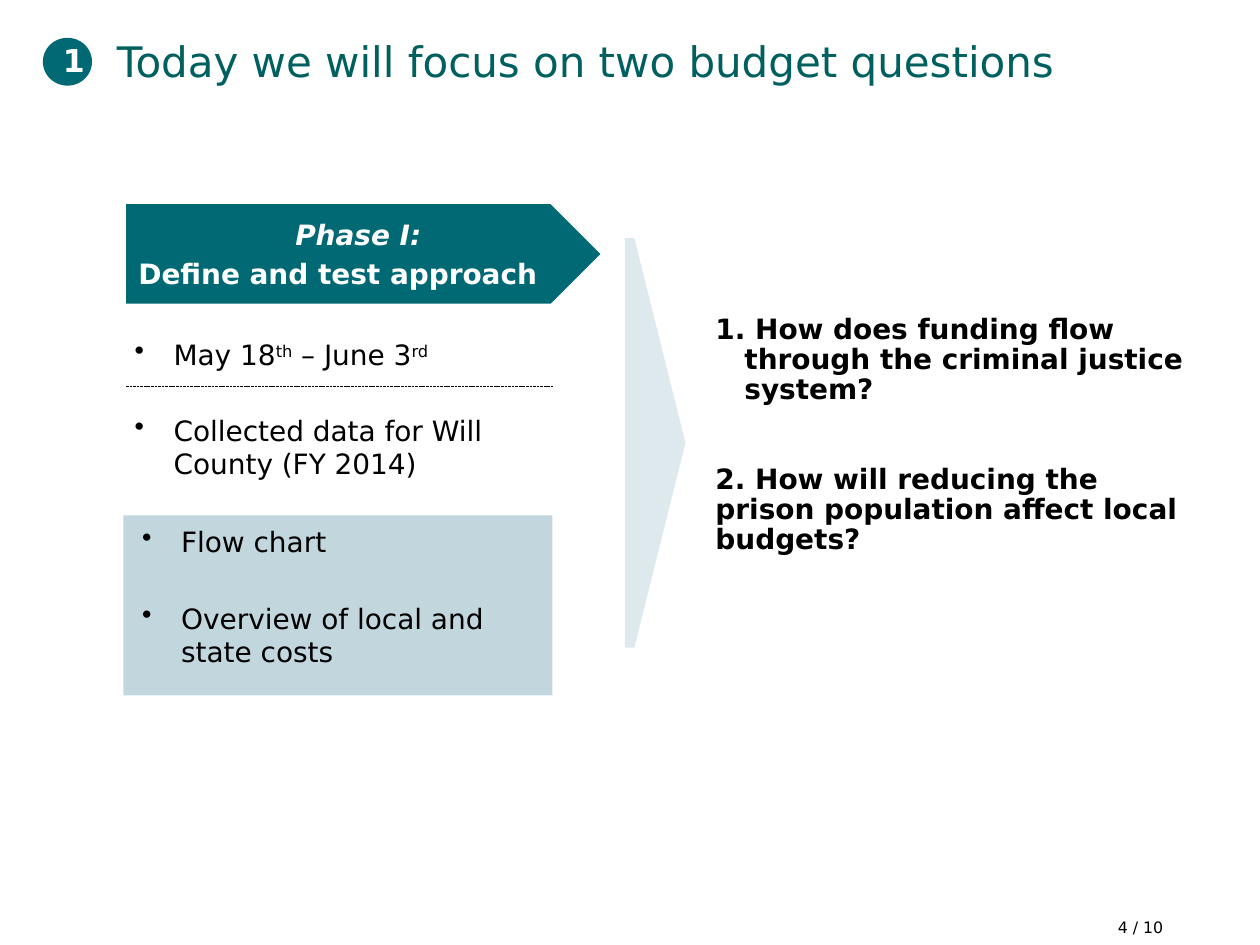
from lxml import etree
from pptx import Presentation
from pptx.dml.color import RGBColor
from pptx.enum.dml import MSO_LINE
from pptx.enum.shapes import MSO_CONNECTOR, MSO_SHAPE
from pptx.enum.text import MSO_ANCHOR, PP_ALIGN
from pptx.oxml.ns import qn
from pptx.util import Inches, Pt

TEAL = RGBColor(0x00, 0x69, 0x73)
PINE = RGBColor(0x00, 0x60, 0x5F)
MIST = RGBColor(0xC1, 0xD6, 0xDD)
BLACK = RGBColor(0, 0, 0)
WHITE = RGBColor(0xFF, 0xFF, 0xFF)

LEFT, CENTER, RIGHT = PP_ALIGN.LEFT, PP_ALIGN.CENTER, PP_ALIGN.RIGHT
TOP, MIDDLE, BOTTOM = MSO_ANCHOR.TOP, MSO_ANCHOR.MIDDLE, MSO_ANCHOR.BOTTOM
RECT, OVAL = MSO_SHAPE.RECTANGLE, MSO_SHAPE.OVAL
STRAIGHT, DASH = MSO_CONNECTOR.STRAIGHT, MSO_LINE.SQUARE_DOT

COLS, ROWS = 100, 75
HANG = 0.31


class Deck:
    """Holds the style and the slide; lengths are grid columns and rows."""

    def __init__(self, font="DejaVu Sans", size=16):
        self.font, self.size = font, size
        self.prs = Presentation()
        self.prs.slide_width, self.prs.slide_height = Inches(10), Inches(7.5)
        self.cell = self.prs.slide_width / COLS, self.prs.slide_height / ROWS
        self.slide = self.prs.slides.add_slide(self.prs.slide_layouts[6])
        self.shapes = self.slide.shapes

    def grid(self, *vals):
        """Turn alternating columns and rows into lengths."""
        return [round(v * self.cell[i % 2]) for i, v in enumerate(vals)]

    def paint(self, shape, color, alpha=None):
        shape.shadow.inherit = False
        shape.fill.solid()
        shape.fill.fore_color.rgb = color
        shape.line.fill.background()
        if alpha:
            tint = shape.fill._xPr.find(".//" + qn("a:srgbClr"))
            etree.SubElement(tint, qn("a:alpha")).set("val", str(alpha * 1000))
        return shape

    def block(self, kind, box, color):
        return self.paint(self.shapes.add_shape(kind, *self.grid(*box)), color)

    def outline(self, points, color, alpha=None):
        first, *rest = [self.grid(*pt) for pt in points]
        build = self.shapes.build_freeform(*first, scale=1.0)
        build.add_line_segments(rest, close=True)
        return self.paint(build.convert_to_shape(), color, alpha)

    def rule(self, start, end):
        line = self.shapes.add_connector(STRAIGHT, *self.grid(*start, *end))
        line.line.color.rgb, line.line.width = BLACK, Pt(0.5)
        line.line.dash_style = DASH
        etree.SubElement(line._element.spPr, qn("a:effectLst"))

    def text(self, box, anchor=TOP):
        frame = self.shapes.add_textbox(*self.grid(*box)).text_frame
        frame.word_wrap, frame.vertical_anchor = True, anchor
        return frame

    def para(self, frame, words, size=None, color=BLACK, bold=False,
             italic=False, align=LEFT, before=0, after=0, lead=1.0,
             mark=None, hang=0):
        """Add a paragraph; words is a string or (run, raised) pairs."""
        para = frame.paragraphs[0]
        if para.runs:
            para = frame.add_paragraph()
        runs = [(words, False)] if isinstance(words, str) else words
        for part, raised in runs:
            run = para.add_run()
            run.text = part
            if raised:
                run._r.get_or_add_rPr().set("baseline", "30000")
        para.alignment, para.line_spacing = align, lead
        para.space_before, para.space_after = Pt(before), Pt(after)
        if mark:
            props = para._p.get_or_add_pPr()
            props.set("marL", str(Inches(hang)))
            props.set("indent", str(-Inches(hang)))
            tag, key = (("a:buAutoNum", "type") if mark == "arabicPeriod"
                        else ("a:buChar", "char"))
            etree.SubElement(props, qn(tag)).set(key, mark)
        font = para.font
        font.name, font.size = self.font, Pt(size or self.size)
        font.color.rgb, font.bold, font.italic = color, bold, italic

    def points(self, box, *items, gap=0):
        frame = self.text(box)
        for i, item in enumerate(items):
            self.para(frame, item, before=gap if i else 0, after=3,
                      mark="•", hang=HANG)


def main():
    deck = Deck()

    deck.para(deck.text((72.5, 69.8, 20.8, 5), BOTTOM), "4 / 10",
              size=9, align=RIGHT)
    deck.para(deck.text((8.3, 2.3, 87.5, 12.5)),
              "Today we will focus on two budget questions",
              size=24, color=PINE)

    asks = deck.text((55.8, 24.5, 40.1, 15.4))
    deck.para(asks, " How does funding flow through the criminal justice "
              "system?", bold=True, lead=0.9, mark="arabicPeriod", hang=0.23)
    deck.para(asks, "2. How will reducing the prison population affect local "
              "budgets?", bold=True, lead=0.9, before=34)

    phase = deck.outline([(10, 16.2), (43.7, 16.2), (47.65, 20.15),
                          (43.7, 24.1), (10, 24.1)], TEAL).text_frame
    phase.word_wrap, phase.vertical_anchor = True, MIDDLE
    deck.para(phase, "Phase I: ", color=WHITE, bold=True, italic=True,
              align=CENTER, after=3)
    deck.para(phase, "Define and test approach", color=WHITE, bold=True,
              after=3)

    deck.points((9.7, 26.3, 37.4, 3.7),
                [("May 18", False), ("th", True),
                 (" – June 3", False), ("rd", True)])
    deck.rule((10, 30.7), (43.9, 30.7))
    deck.points((9.7, 32.3, 34.2, 6.4),
                "Collected data for Will County (FY 2014)")
    deck.block(RECT, (9.8, 40.9, 34.05, 14.3), MIST)
    deck.points((10.3, 41.1, 33, 12.5), "Flow chart",
                "Overview of local and state costs", gap=22)

    deck.outline([(49.6, 18.9), (50.35, 18.9), (54.4, 35.15),
                  (50.35, 51.4), (49.6, 51.4)], MIST, alpha=52)

    deck.block(OVAL, (3.4, 3, 3.9, 3.8), TEAL)
    deck.para(deck.text((4, 2.8, 2.7, 4)), "1", size=18, color=WHITE,
              bold=True, align=CENTER)

    deck.prs.save("out.pptx")


if __name__ == "__main__":
    main()
